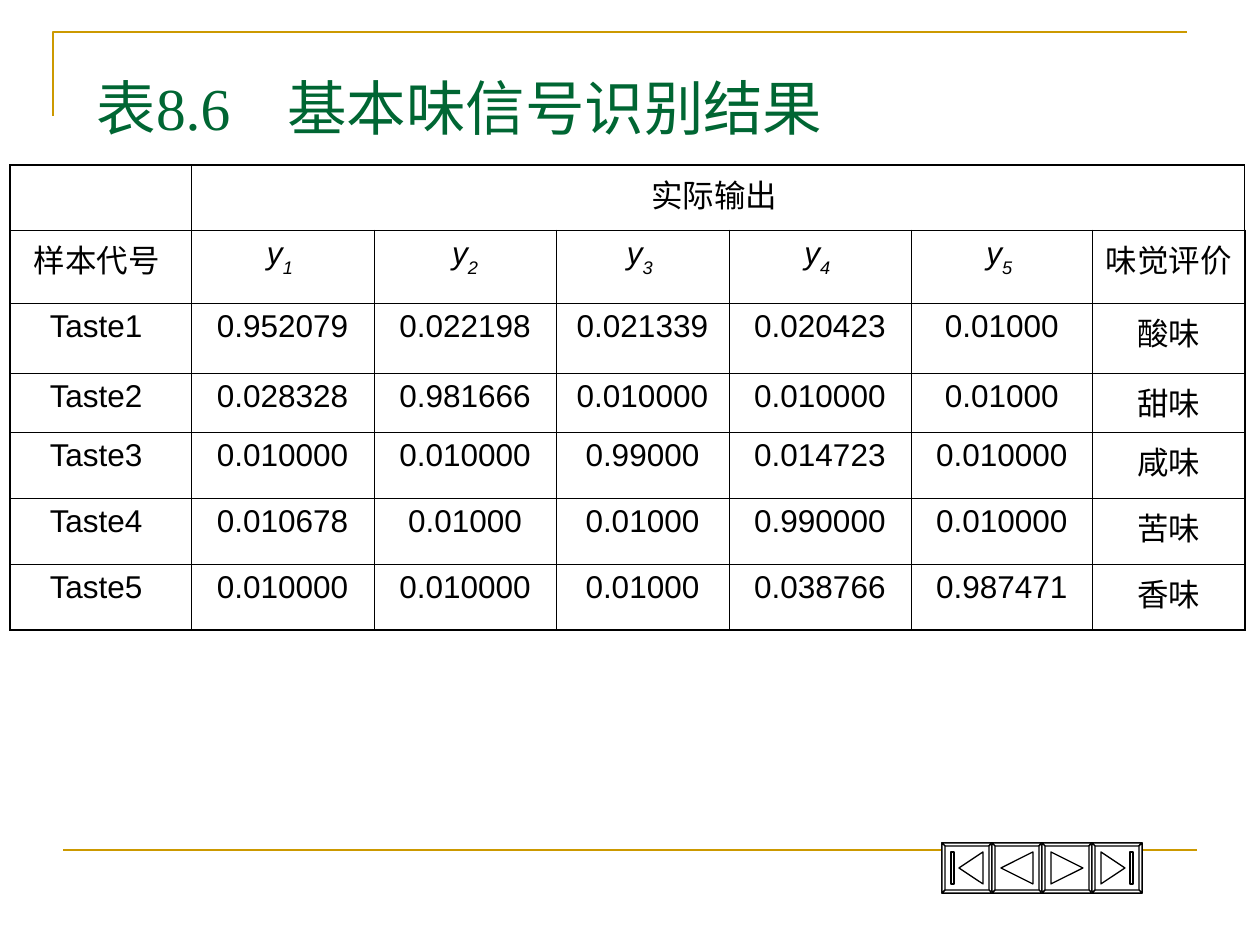
from dataclasses import dataclass

from lxml import etree
from pptx import Presentation
from pptx.dml.color import RGBColor
from pptx.enum import shapes, text
from pptx.oxml import ns
from pptx.util import Emu, Pt

SCALE = 914400 / 126


@dataclass(frozen=True)
class Theme:
    green: str = "006633"
    gold: str = "CC9900"
    ink: str = "000000"
    paper: str = "FFFFFF"
    head: int = 34
    body: int = 18
    serif: str = "Times New Roman"
    sans: str = "Arial"
    thin: float = 0.45
    thick: float = 1.08
    rule: float = 1.5
    edge: float = 0.75


T = Theme()

TITLE = "表8.6\t基本味信号识别结果"
COLS = [181, 183, 182, 173, 182, 182, 152]
ROWS = [65, 73, 70, 59, 66, 66, 66]
DATA = [
    ["", "实际输出 ", "", "", "", "", ""],
    ["样本代号 ", "y1 ", "y2", "y3 ", "y4 ", "y5 ", "味觉评价 "],
    ["Taste1 ", "0.952079", "0.022198", "0.021339", "0.020423", "0.01000", "酸味"],
    ["Taste2 ", "0.028328", "0.981666", "0.010000", "0.010000", "0.01000", "甜味"],
    ["Taste3 ", "0.010000", "0.010000", "0.99000", "0.014723", "0.010000", "咸味"],
    ["Taste4 ", "0.010678", "0.01000", "0.01000", "0.990000", "0.010000", "苦味"],
    ["Taste5 ", "0.010000", "0.010000", "0.01000", "0.038766", "0.987471", "香味"],
]

# Navigation buttons, in px from the corner of a square
SIDE, LIP = 50, 3
BACK = [[(9, 25), (41, 9), (41, 41)]]
FIRST = [[(17, 25), (41, 9), (41, 41)],
         [(9, 9), (12, 9), (12, 41), (9, 41)]]


def px(n):
    return Emu(round(n * SCALE))


def rgb(code):
    return RGBColor.from_string(code)


def write(para, words, size=T.body, font=T.sans, color=T.ink,
          italic=False, base=0):
    run = para.add_run()
    run.text = words
    f = run.font
    f.size, f.name, f.italic = Pt(size), font, italic
    f.color.rgb = rgb(color)
    if base:
        run._r.get_or_add_rPr().set("baseline", str(base * 1000))


def stroke(shape, color, width):
    shape.line.color.rgb = rgb(color)
    shape.line.width = Pt(width)


def outline(slide, loops, color, width, close=True, fill=None):
    """Draw point lists as one freeform."""
    build = slide.shapes.build_freeform(*loops[0][0], scale=SCALE)
    for i, loop in enumerate(loops):
        if i:
            build.move_to(*loop[0])
        build.add_line_segments(loop[1:], close=close)
    shape = build.convert_to_shape()
    shape.shadow.inherit = False
    if fill:
        shape.fill.solid()
        shape.fill.fore_color.rgb = rgb(fill)
    else:
        shape.fill.background()
    stroke(shape, color, width)
    return shape


def split(shape):
    """Give each loop its own path, so that overlapping fills do not cancel."""
    path = shape._element.find(".//" + ns.qn("a:path"))
    home, node = path.getparent(), None
    for step in list(path):
        if step.tag == ns.qn("a:moveTo"):
            node = etree.SubElement(home, path.tag, dict(path.attrib))
        node.append(step)
    home.remove(path)


def frame(slide):
    outline(slide, [[(53, 116), (53, 32), (1187, 32)]],
            T.gold, T.rule, close=False)
    line = slide.shapes.add_connector(
        shapes.MSO_CONNECTOR.STRAIGHT, px(63), px(850), px(1197), px(850))
    stroke(line, T.gold, T.rule)
    etree.SubElement(line._element.spPr, ns.qn("a:effectLst"))


def button(slide, left, top, icon, flip):
    out = [(0, 0), (SIDE, 0), (SIDE, SIDE), (0, SIDE)]
    far = SIDE - LIP
    inn = [(LIP, LIP), (far, LIP), (far, far), (LIP, far)]
    lips = [[out[i], out[i - 3], inn[i - 3], inn[i]] for i in range(4)]
    if flip:
        icon = [[(SIDE - x, y) for x, y in loop] for loop in icon]
    loops = [[(left + x, top + y) for x, y in loop]
             for loop in [out, *lips, *icon]]
    split(outline(slide, loops, T.ink, T.edge, fill=T.paper))


def heading(slide):
    box = slide.shapes.title
    box.left, box.top, box.width, box.height = map(px, (84, 65, 1071, 68))
    tf = box.text_frame
    tf.auto_size = text.MSO_AUTO_SIZE.NONE
    tf.vertical_anchor = text.MSO_ANCHOR.TOP
    para = tf.paragraphs[0]
    para.alignment = text.PP_ALIGN.LEFT
    para.line_spacing, para.space_before = 1.0, Pt(0)
    tabs = etree.SubElement(para._p.get_or_add_pPr(), ns.qn("a:tabLst"))
    etree.SubElement(tabs, ns.qn("a:tab"), pos=str(px(191)), algn="l")
    write(para, TITLE, T.head, T.serif, T.green)


def border(cell, sides):
    prop = cell._tc.get_or_add_tcPr()
    for i, (side, width) in enumerate(sides.items()):
        ln = etree.Element(ns.qn("a:ln" + side), w=str(Pt(width)))
        fill = etree.SubElement(ln, ns.qn("a:solidFill"))
        etree.SubElement(fill, ns.qn("a:srgbClr"), val=T.ink)
        prop.insert(i, ln)


def table(slide):
    grid = slide.shapes.add_table(
        len(ROWS), len(COLS), px(10), px(165),
        px(sum(COLS)), px(sum(ROWS))).table
    grid.first_row = grid.horz_banding = False
    for col, width in zip(grid.columns, COLS):
        col.width = px(width)
    for row, height in zip(grid.rows, ROWS):
        row.height = px(height)
    end, low = len(COLS) - 1, len(ROWS) - 1
    for r, line in enumerate(DATA):
        for c, words in enumerate(line):
            cell = grid.cell(r, c)
            cell.fill.background()
            bold = {"L": c == 0, "R": c == end and r > 0,
                    "T": r == 0, "B": r == low}
            border(cell, {s: T.thick if b else T.thin for s, b in bold.items()})
            para = cell.text_frame.paragraphs[0]
            para.alignment = text.PP_ALIGN.CENTER
            if words.startswith("y"):
                write(para, words[0], italic=True)
                write(para, words[1:], italic=True, base=-30)
            elif words:
                write(para, words)
    grid.cell(0, 1).merge(grid.cell(0, end))


def main():
    deck = Presentation()
    deck.slide_width, deck.slide_height = px(1260), px(945)
    slide = deck.slides.add_slide(deck.slide_layouts[5])
    # Frame and navigation
    frame(slide)
    icons = [(FIRST, False), (BACK, False), (BACK, True), (FIRST, True)]
    for i, (icon, flip) in enumerate(icons):
        button(slide, 942 + i * SIDE, 843, icon, flip)
    # Title and results
    heading(slide)
    table(slide)
    deck.save("out.pptx")


if __name__ == "__main__":
    main()
